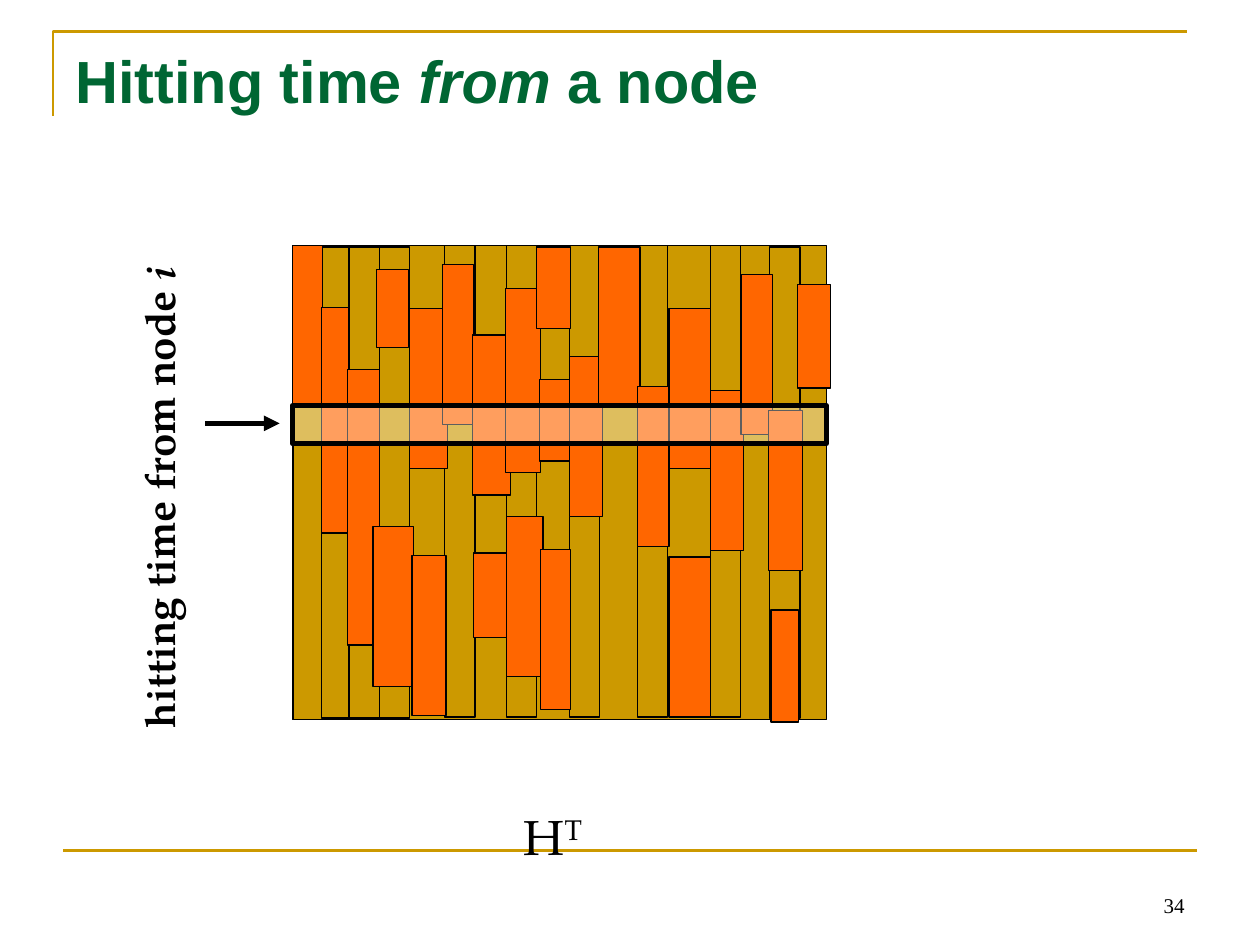
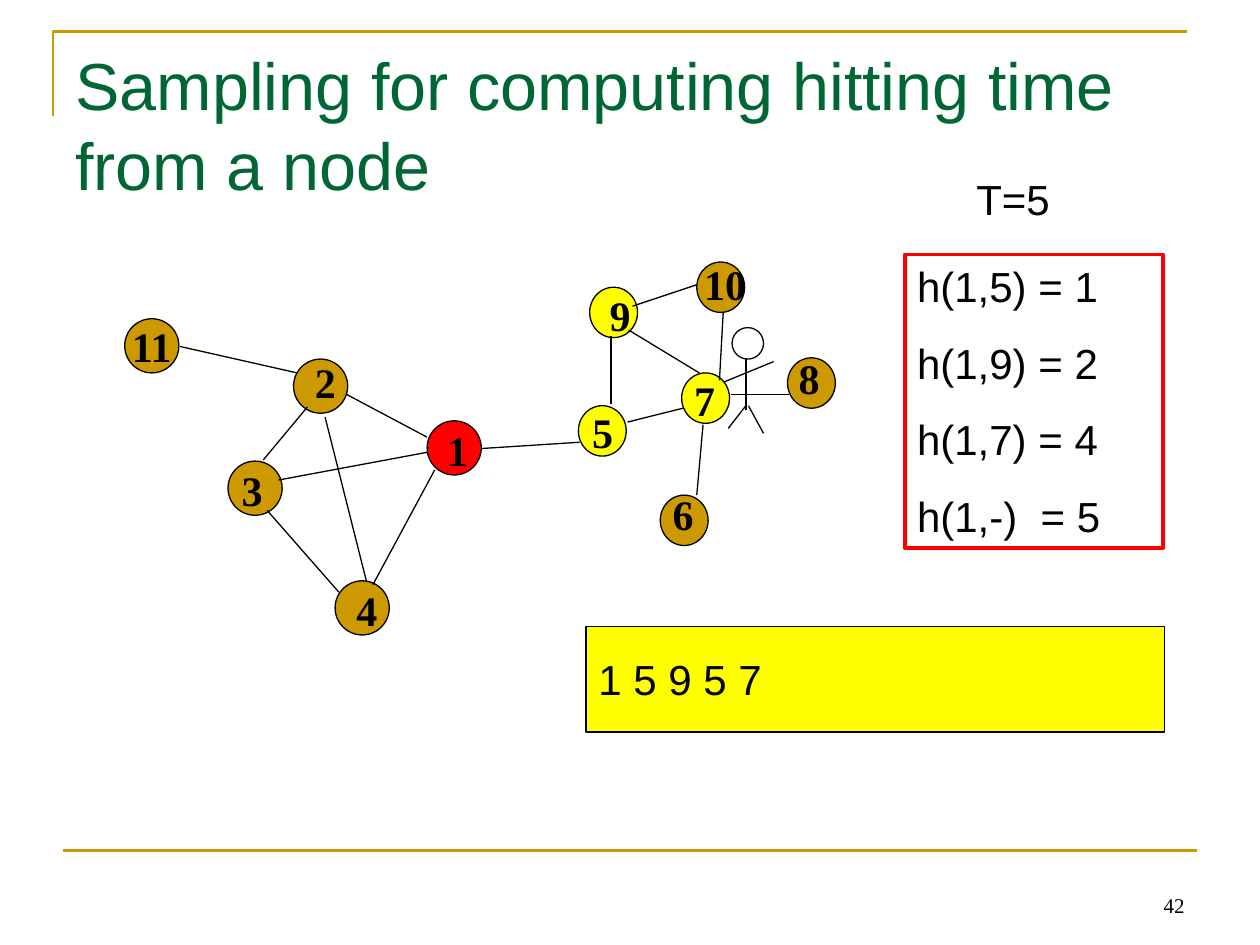
from dataclasses import dataclass

from lxml.etree import SubElement
from pptx import Presentation
from pptx.dml.color import RGBColor
from pptx.enum.shapes import MSO_CONNECTOR as Connector, MSO_SHAPE as Preset
from pptx.enum.text import MSO_ANCHOR as Anchor, PP_ALIGN as Align
from pptx.oxml.ns import qn
from pptx.util import Inches, Pt


@dataclass(frozen=True)
class Theme:
    gold: str = "CC9900"
    orange: str = "FF6600"
    yellow: str = "FFFF00"
    red: str = "FF0000"
    green: str = "006633"
    black: str = "000000"
    white: str = "FFFFFF"
    sans: str = "Arial"
    serif: str = "Times New Roman"
    book: str = "TeX Gyre Pagella"
    symbol_size: float = 28
    body_size: float = 24
    number_size: float = 12
    thin: float = 0.74
    rule: float = 1.5
    frame: float = 2.24
    thick: float = 3
    veil: int = 37


THEME = Theme()
COLUMNS, ROWS = 1000, 750
WIDTH, HEIGHT = Inches(10), Inches(7.5)
CELL = WIDTH // COLUMNS

TITLE_AREA = (50, 30, 900, 125)
NUMBER_AREA = (717, 683, 233, 50)
CORNER = ((42, 92), (42, 25), (942, 25))
BASELINE = ((50, 675), (950, 675))

MATRIX = {
    "title": [("Hitting time ", {}), ("from", {"italic": True}), (" a node", {})],
    "number": "34",
    "area": (232, 195, 424, 376),
    "stripe_size": (24, 374),
    "stripes": [(233, 197), (255, 196), (277, 196), (301, 196), (353, 195),
                (402, 195), (452, 195), (506, 195), (564, 195), (611, 196)],
    "bar_height": 127,
    "bars": [
        (232, 195, 24), (255, 244, 22, 179), (276, 293, 25, 219),
        (299, 214, 25, 62), (296, 418, 32), (325, 245, 30), (327, 441, 27),
        (351, 210, 25), (375, 266, 30), (376, 439, 27, 67),
        (401, 229, 28, 146), (402, 410, 29), (426, 196, 27, 65),
        (428, 301, 25, 65), (429, 436, 24), (452, 283, 26), (475, 196, 33),
        (506, 307, 25), (531, 245, 33), (531, 442, 33), (564, 310, 26),
        (588, 218, 25), (610, 326, 27), (612, 484, 22, 89), (633, 226, 26, 82),
    ],
    "row": (232, 322, 424, 30),
    "arrow": ((163, 336), (222, 336)),
    "label": [("hitting time from node ", {}), ("i", {"italic": True})],
    "label_area": (-58, 339, 408, 90),
    "symbol": ("H", "T"),
    "symbol_area": (406, 635, 168, 57),
}

LARGE, SMALL = (43, 43), (38, 40)
NETWORK = {
    "title": [("Sampling for computing hitting time from a node", {})],
    "number": "42",
    "nodes": [
        ("1", (339, 334), LARGE, THEME.red, (345, 332)),
        ("11", (99, 253), LARGE, THEME.gold, None),
        ("2", (233, 285), LARGE, THEME.gold, (240, 278)),
        ("3", (181, 366), LARGE, THEME.gold, (182, 364)),
        ("4", (266, 461), LARGE, THEME.gold, (273, 459)),
        ("10", (553, 208), SMALL, THEME.gold, (549, 200)),
        ("9", (468, 228), SMALL, THEME.yellow, (474, 225)),
        ("7", (541, 296), SMALL, THEME.yellow, (541, 292)),
        ("5", (459, 322), SMALL, THEME.yellow, (460, 318)),
        ("6", (524, 393), SMALL, THEME.gold, (524, 383)),
        ("8", (625, 284), SMALL, THEME.gold, (624, 275)),
    ],
    "edges": [
        ((143, 275), (236, 296)), ((275, 313), (339, 347)),
        ((296, 464), (345, 373)), ((212, 405), (269, 470)),
        ((382, 356), (460, 351)), ((485, 267), (485, 321)),
        ((498, 335), (542, 324)), ((558, 337), (553, 393)),
        ((580, 313), (626, 313)), ((499, 262), (555, 296)),
        ((502, 243), (553, 226)), ((209, 365), (244, 323)),
        ((258, 331), (291, 462)), ((574, 248), (571, 302)),
        ((339, 359), (221, 381)),
    ],
    "walker_head": (581, 260, 25, 25),
    "walker_limbs": [
        ((575, 303), (614, 287)), ((592, 322), (578, 340)),
        ((592, 284), (592, 325)), ((594, 322), (606, 344)),
    ],
    "walk": "1 5 9 5 7",
    "walk_area": (465, 497, 459, 84),
    "hits": ["h(1,5) = 1", "h(1,9) = 2", "h(1,7) = 4", "h(1,-)  = 5"],
    "hits_area": (718, 202, 205, 233),
    "limit": "T=5",
    "limit_area": (765, 133, 154, 50),
}


def place(cells):
    return [cell * CELL for cell in cells]


def apply(target, formats):
    for name, value in formats.items():
        setattr(target, name, value)


def colour(code):
    return RGBColor.from_string(code)


def paint_line(line, code, width):
    line.color.rgb = colour(code)
    line.width = Pt(width)


def paint_shape(shape, fill, line, width):
    shape.shadow.inherit = False
    if fill:
        shape.fill.solid()
        shape.fill.fore_color.rgb = colour(fill)
    else:
        shape.fill.background()
    paint_line(shape.line, line, width)


def add_preset(shapes, preset, cells, fill=None, line=THEME.black, width=THEME.thin):
    shape = shapes.add_shape(preset, *place(cells))
    paint_shape(shape, fill, line, width)
    return shape


def add_line(shapes, ends, code=THEME.black, width=THEME.thin, arrow=False):
    start, end = ends
    line = shapes.add_connector(Connector.STRAIGHT, *place(start + end))
    paint_line(line.line, code, width)
    properties = line._element.spPr
    if arrow:
        SubElement(properties.find(qn("a:ln")), qn("a:tailEnd"), type="triangle")
    SubElement(properties, qn("a:effectLst"))


def write(box, paras, size=THEME.body_size, font=THEME.sans, code=THEME.black,
          bold=False, align=Align.LEFT, anchor=Anchor.TOP, wrap=True, before=0):
    frame = box.text_frame
    apply(frame, {
        "word_wrap": wrap, "vertical_anchor": anchor,
        "margin_left": Inches(0.1), "margin_right": Inches(0.1),
        "margin_top": Inches(0.05), "margin_bottom": Inches(0.05),
    })
    for index, spans in enumerate(paras):
        para = frame.add_paragraph() if index else frame.paragraphs[0]
        apply(para, {"alignment": align, "space_before": Pt(before)})
        for text, formats in spans:
            span = para.add_run()
            span.text = text
            apply(span.font, {"name": font, "size": Pt(size), "bold": bold, **formats})
            span.font.color.rgb = colour(code)


def add_text(shapes, cells, spans, **style):
    box = shapes.add_textbox(*place(cells))
    write(box, [spans], **style)
    return box


def add_page(deck, content, title_size, bold=False):
    page = deck.slides.add_slide(deck.slide_layouts[6])
    start, *others = CORNER
    builder = page.shapes.build_freeform(*start, scale=CELL)
    builder.add_line_segments(others, close=False)
    paint_shape(builder.convert_to_shape(), None, THEME.gold, THEME.rule)
    add_line(page.shapes, BASELINE, THEME.gold, THEME.rule)
    add_text(page.shapes, TITLE_AREA, content["title"], size=title_size,
             code=THEME.green, bold=bold)
    add_text(page.shapes, NUMBER_AREA, [(content["number"], {})],
             size=THEME.number_size, font=THEME.serif,
             align=Align.RIGHT, anchor=Anchor.BOTTOM)
    return page.shapes


def draw_matrix(shapes, content):
    add_preset(shapes, Preset.RECTANGLE, content["area"], THEME.gold)
    for corner in content["stripes"]:
        add_preset(shapes, Preset.RECTANGLE, corner + content["stripe_size"], THEME.gold)
    for left, top, width, *height in content["bars"]:
        tall = height[0] if height else content["bar_height"]
        add_preset(shapes, Preset.RECTANGLE, (left, top, width, tall), THEME.orange)
    row = add_preset(shapes, Preset.RECTANGLE, content["row"], THEME.white,
                     width=THEME.thick)
    shade = row._element.spPr.find(qn("a:solidFill"))[0]
    SubElement(shade, qn("a:alpha"), val=str(THEME.veil * 1000))
    add_line(shapes, content["arrow"], width=THEME.thick, arrow=True)
    label = add_text(shapes, content["label_area"], content["label"],
                     font=THEME.book, bold=True)
    label.rotation = 270
    base, power = content["symbol"]
    symbol = add_text(shapes, content["symbol_area"], [(base, {}), (power, {})],
                      size=THEME.symbol_size, font=THEME.book)
    raised = symbol.text_frame.paragraphs[0].runs[1]
    raised._r.get_or_add_rPr().set("baseline", "30000")


def draw_network(shapes, content):
    graph = shapes.add_group_shape().shapes
    style = {"font": THEME.serif, "bold": True}
    labels = []
    for name, corner, size, fill, label in content["nodes"]:
        node = add_preset(graph, Preset.OVAL, corner + size, fill)
        if label:
            labels.append((name, label))
        else:
            write(node, [[(name, {})]], align=Align.CENTER, anchor=Anchor.MIDDLE,
                  wrap=False, **style)
    for ends in content["edges"]:
        add_line(graph, ends)
    for name, corner in labels:
        width = 32 if len(name) == 1 else 58
        add_text(graph, corner + (width, 50), [(name, {})], **style)
    walker = shapes.add_group_shape().shapes
    add_preset(walker, Preset.OVAL, content["walker_head"])
    for ends in content["walker_limbs"]:
        add_line(walker, ends)


def draw_results(shapes, content):
    walk = add_preset(shapes, Preset.RECTANGLE, content["walk_area"], THEME.yellow)
    write(walk, [[(content["walk"], {})]], anchor=Anchor.MIDDLE)
    hits = add_preset(shapes, Preset.RECTANGLE, content["hits_area"],
                      line=THEME.red, width=THEME.frame)
    write(hits, [[(hit, {})] for hit in content["hits"]], before=15)
    add_text(shapes, content["limit_area"], [(content["limit"], {})])


deck = Presentation()
apply(deck, {"slide_width": WIDTH, "slide_height": HEIGHT})
draw_matrix(add_page(deck, MATRIX, 34, bold=True), MATRIX)
network_shapes = add_page(deck, NETWORK, 38)
draw_network(network_shapes, NETWORK)
draw_results(network_shapes, NETWORK)
deck.save("out.pptx")
